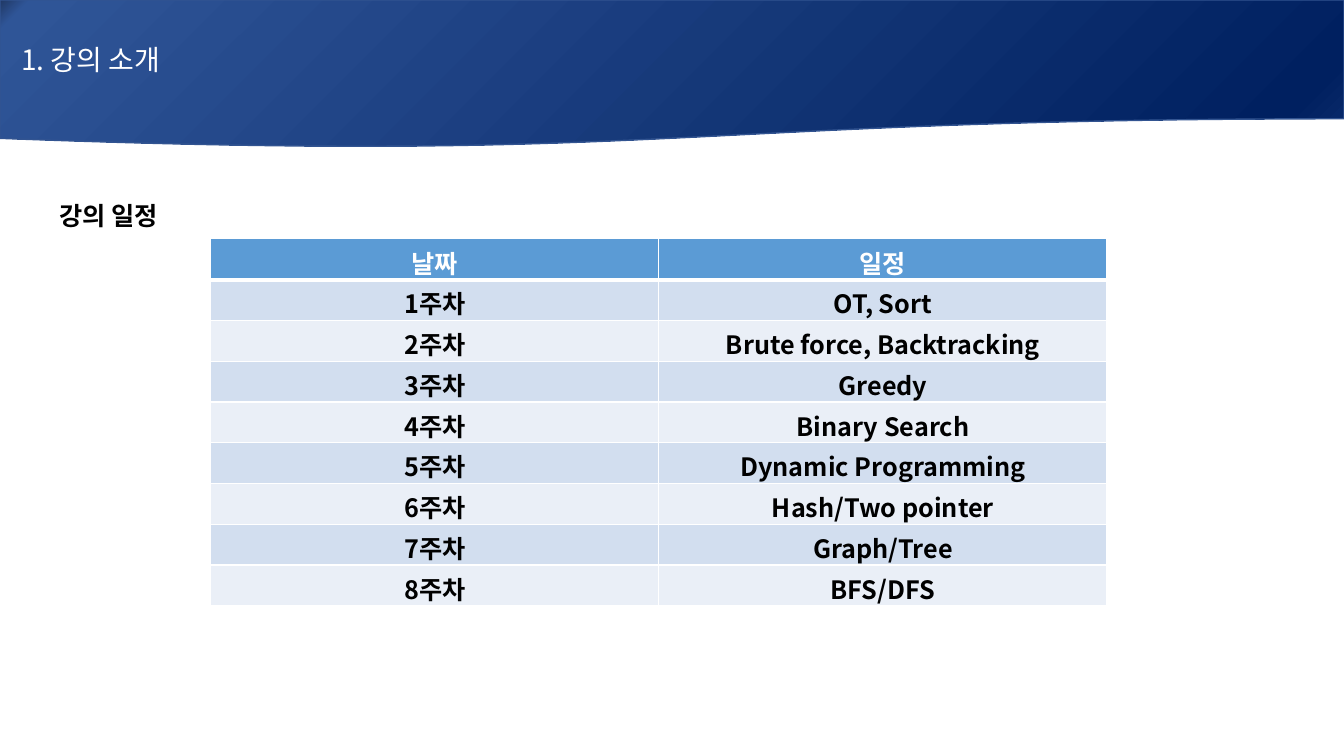
from copy import deepcopy

from lxml.etree import SubElement
from pptx import Presentation
from pptx.dml.color import RGBColor
from pptx.enum.shapes import MSO_SHAPE
from pptx.enum.text import MSO_ANCHOR, MSO_AUTO_SIZE, PP_ALIGN
from pptx.oxml.ns import qn
from pptx.util import Inches, Pt

COLORS = {
    "white": "FFFFFF",
    "black": "000000",
    "banner_line": "325491",
    "header": "5B9BD5",
    "odd_row": "D2DEEF",
    "even_row": "EAEFF7",
}
BANNER_STOPS = [(0, "203864"), (2, "2F5597"), (94, "002060"), (100, "0D2E6F")]
TOPICS = [
    "OT, Sort",
    "Brute force, Backtracking",
    "Greedy",
    "Binary Search",
    "Dynamic Programming",
    "Hash/Two pointer",
    "Graph/Tree",
    "BFS/DFS",
]


class SlideBuilder:
    font_name = "Noto Sans CJK KR"

    def __init__(self, page):
        self.page = page

    def color(self, name):
        return RGBColor.from_string(COLORS[name])

    def add_span(self, para, text, size, color, bold=False):
        span = para.add_run()
        span.text = text
        span.font.size = Pt(size)
        span.font.bold = bold
        span.font.color.rgb = self.color(color)
        span.font.name = self.font_name
        properties = span._r.get_or_add_rPr()
        SubElement(properties, qn("a:ea"), typeface=self.font_name)

    def banner(self, title, width, height):
        shape = self.page.shapes.add_shape(
            MSO_SHAPE.FLOWCHART_DOCUMENT, 0, 0, Inches(width), Inches(height))
        shape.shadow.inherit = False
        shape.line.color.rgb = self.color("banner_line")
        shape.line.width = Pt(1)
        shape.fill.gradient()
        shape.fill.gradient_angle = 315
        stop_list = shape._element.spPr.find(qn("a:gradFill")).find(qn("a:gsLst"))
        for extra in range(len(BANNER_STOPS) - len(stop_list)):
            stop_list.append(deepcopy(stop_list[0]))
        for stop, (percent, shade) in zip(shape.fill.gradient_stops, BANNER_STOPS):
            stop.position = percent / 100
            stop.color.rgb = RGBColor.from_string(shade)
        frame = shape.text_frame
        frame.margin_left = Inches(0.21)
        frame.vertical_anchor = MSO_ANCHOR.MIDDLE
        para = frame.paragraphs[0]
        para.alignment = PP_ALIGN.LEFT
        self.add_span(para, title, 20, "white")

    def heading(self, text, left, top, width, height):
        box = self.page.shapes.add_textbox(
            Inches(left), Inches(top), Inches(width), Inches(height))
        frame = box.text_frame
        frame.word_wrap = True
        frame.auto_size = MSO_AUTO_SIZE.SHAPE_TO_FIT_TEXT
        para = frame.paragraphs[0]
        para.alignment = PP_ALIGN.JUSTIFY
        para.line_spacing = 1.07
        para.space_after = Pt(8)
        self.add_span(para, text, 18, "black", bold=True)

    def border(self, cell, side, width):
        line = SubElement(cell._tc.get_or_add_tcPr(), qn(f"a:ln{side}"), w=str(Pt(width)))
        fill = SubElement(line, qn("a:solidFill"))
        SubElement(fill, qn("a:srgbClr"), val=COLORS["white"])

    def cell(self, cell, text, row):
        thick_side = {0: "B", 1: "T"}.get(row)
        for side in "LRTB":
            self.border(cell, side, 3 if side == thick_side else 1)
        if row == 0:
            fill, ink = "header", "white"
        else:
            fill, ink = ("odd_row" if row % 2 else "even_row"), "black"
        cell.fill.solid()
        cell.fill.fore_color.rgb = self.color(fill)
        para = cell.text_frame.paragraphs[0]
        para.alignment = PP_ALIGN.CENTER
        self.add_span(para, text, 18, ink, bold=True)

    def table(self, rows, left, top, width, height):
        table = self.page.shapes.add_table(
            len(rows), len(rows[0]),
            Inches(left), Inches(top), Inches(width), Inches(height)).table
        for row, texts in enumerate(rows):
            for column, text in enumerate(texts):
                self.cell(table.cell(row, column), text, row)


def main():
    deck = Presentation()
    deck.slide_width = Inches(13.33)
    deck.slide_height = Inches(7.5)
    builder = SlideBuilder(deck.slides.add_slide(deck.slide_layouts[6]))
    builder.banner("1. 강의 소개", 13.33, 1.47)
    builder.heading("강의 일정", 0.49, 1.92, 12.84, 0.4)
    weeks = [(f"{week}주차", topic) for week, topic in enumerate(TOPICS, 1)]
    builder.table([("날짜", "일정"), *weeks], 2.09, 2.37, 8.89, 3.64)
    deck.save("out.pptx")


if __name__ == "__main__":
    main()
